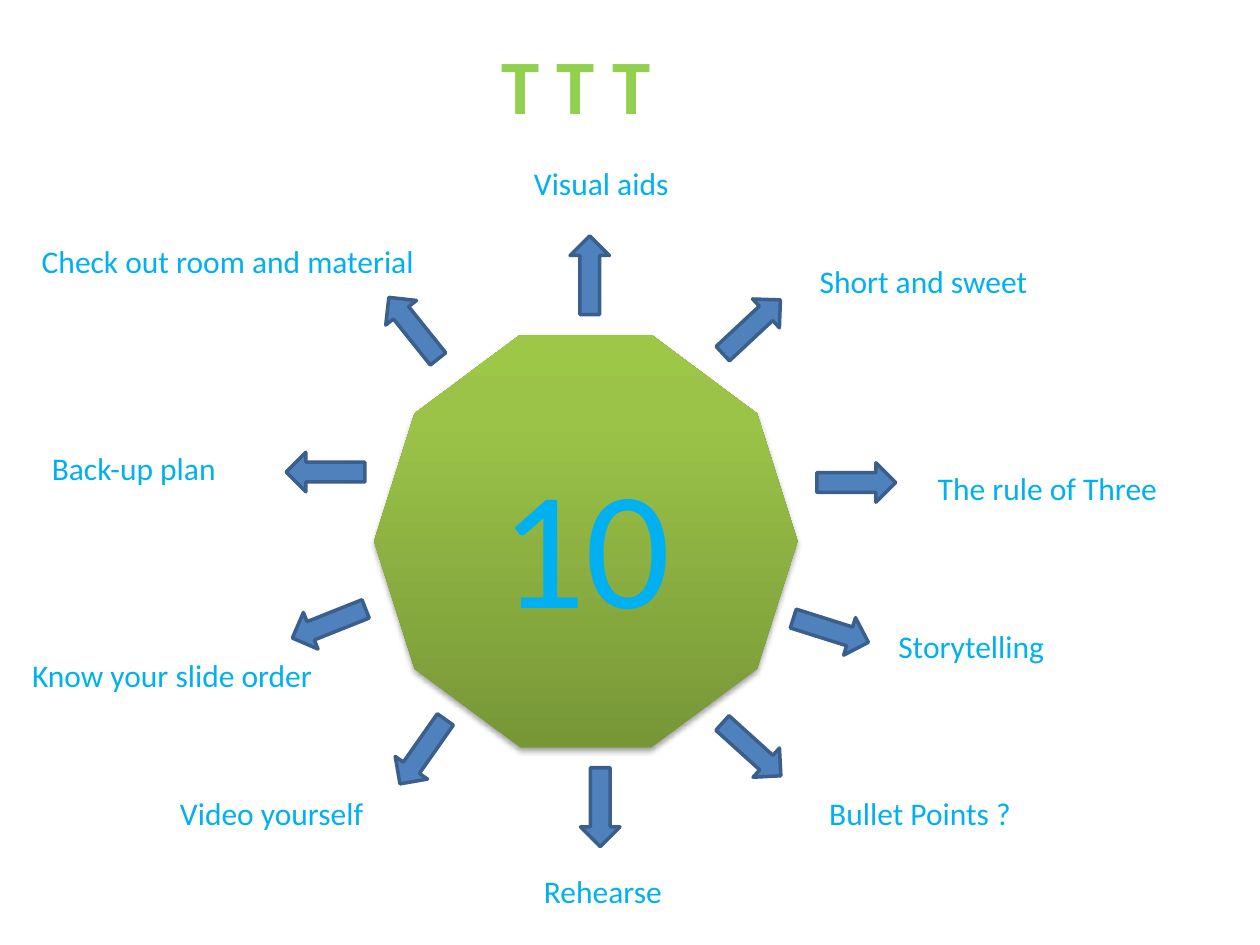
from lxml.etree import SubElement
from pptx import Presentation
from pptx.dml.color import RGBColor
from pptx.enum.shapes import MSO_SHAPE as Shape
from pptx.enum.text import MSO_ANCHOR as Anchor, MSO_AUTO_SIZE as AutoSize, PP_ALIGN as Align
from pptx.oxml.ns import qn
from pptx.util import Pt

TITLE = ("T T T ", (28, 0, 612, 114.5))
HUB = ("10", (213.75, 191.25, 242, 236))
HUB_STOPS = [(0, "779737"), (80, "9BC348"), (100, "9DC746")]
HUB_SHADOW = {"blurRad": Pt(3.1), "distance": Pt(1.8), "direction": 90, "alpha": 35}

SPOKES = [
    ("Visual aids", (298, 90, 135), (314.5, 146), 270),
    ("Short and sweet", (461.25, 146.25, 135), (407, 175.5), 317),
    ("The rule of Three", (528.75, 264.5, 168.75), (466.75, 264.5), 0),
    ("Storytelling", (506.25, 354.5, 135), (452.25, 349), 17.5),
    ("Bullet Points ?", (466.75, 450, 135), (407, 417), 42.1),
    ("Rehearse", (303.75, 495, 135), (320.5, 450), 90),
    ("Video yourself", (95.75, 450, 135), (219, 418.25), 125.1),
    ("Know your slide order", (11.25, 371.25, 202.5), (165.5, 345), 158.3),
    ("Back-up plan", (22.5, 253.25, 135), (163.5, 258.5), 180),
    ("Check out room and material", (16.75, 134.75, 247.5), (213.75, 176.25), 231.3),
]
LABEL_HEIGHT = 29
ARROW_SIZE = (45, 22.5)

LABEL_FONT = {"size": Pt(18), "name": "Calibri"}
HUB_FONT = {"size": Pt(96), "name": "Calibri"}
TITLE_FONT = {"size": Pt(44), "name": "Calibri", "bold": True}
LABEL_FRAME = {"word_wrap": True, "auto_size": AutoSize.SHAPE_TO_FIT_TEXT}
HUB_FRAME = {"word_wrap": True, "vertical_anchor": Anchor.MIDDLE}
TITLE_FRAME = {**HUB_FRAME, "margin_bottom": Pt(22.5)}


def color(value):
    return RGBColor.from_string(value)


def points(values):
    return [Pt(value) for value in values]


def apply(target, formats):
    for name, value in formats.items():
        setattr(target, name, value)


def write(shape, text, frame_format, font_format, text_color, align=Align.LEFT):
    frame = shape.text_frame
    apply(frame, frame_format)
    paragraph = frame.paragraphs[0]
    paragraph.alignment = align
    run = paragraph.add_run()
    run.text = text
    apply(run.font, font_format)
    run.font.color.rgb = color(text_color)


def add_color(parent, value):
    return SubElement(parent, qn("a:srgbClr"), val=value)


def add_hub(slide):
    text, box = HUB
    shape = slide.shapes.add_shape(Shape.DECAGON, *points(box))
    shape.line.fill.background()
    shape.shadow.inherit = False
    shape.fill.gradient()
    shape.fill.gradient_angle = 90
    properties = shape._element.spPr
    stops = properties.find(".//" + qn("a:gsLst"))
    for stop in list(stops):
        stops.remove(stop)
    for position, value in HUB_STOPS:
        add_color(SubElement(stops, qn("a:gs"), pos=str(position * 1000)), value)
    shadow = SubElement(
        properties.find(qn("a:effectLst")), qn("a:outerShdw"),
        blurRad=str(HUB_SHADOW["blurRad"]), dist=str(HUB_SHADOW["distance"]),
        dir=str(HUB_SHADOW["direction"] * 60000), rotWithShape="0")
    SubElement(add_color(shadow, "000000"), qn("a:alpha"), val=str(HUB_SHADOW["alpha"] * 1000))
    write(shape, text, HUB_FRAME, HUB_FONT, "00B0F0", Align.CENTER)


def add_arrow(slide, position, angle):
    arrow = slide.shapes.add_shape(Shape.RIGHT_ARROW, *points(position + ARROW_SIZE))
    arrow.rotation = angle
    arrow.shadow.inherit = False
    arrow.fill.solid()
    arrow.fill.fore_color.rgb = color("4F81BD")
    arrow.line.color.rgb = color("3A5F8C")
    arrow.line.width = Pt(2)


def main():
    presentation = Presentation()
    presentation.slide_width, presentation.slide_height = Pt(720), Pt(540)
    slide = presentation.slides.add_slide(presentation.slide_layouts[6])

    text, box = TITLE
    title = slide.shapes.add_textbox(*points(box))
    write(title, text, TITLE_FRAME, TITLE_FONT, "92D050", Align.CENTER)
    add_hub(slide)
    for text, label_box, arrow_position, angle in SPOKES:
        add_arrow(slide, arrow_position, angle)
        label = slide.shapes.add_textbox(*points(label_box + (LABEL_HEIGHT,)))
        write(label, text, LABEL_FRAME, LABEL_FONT, "00B0F0")

    presentation.save("out.pptx")


if __name__ == "__main__":
    main()
